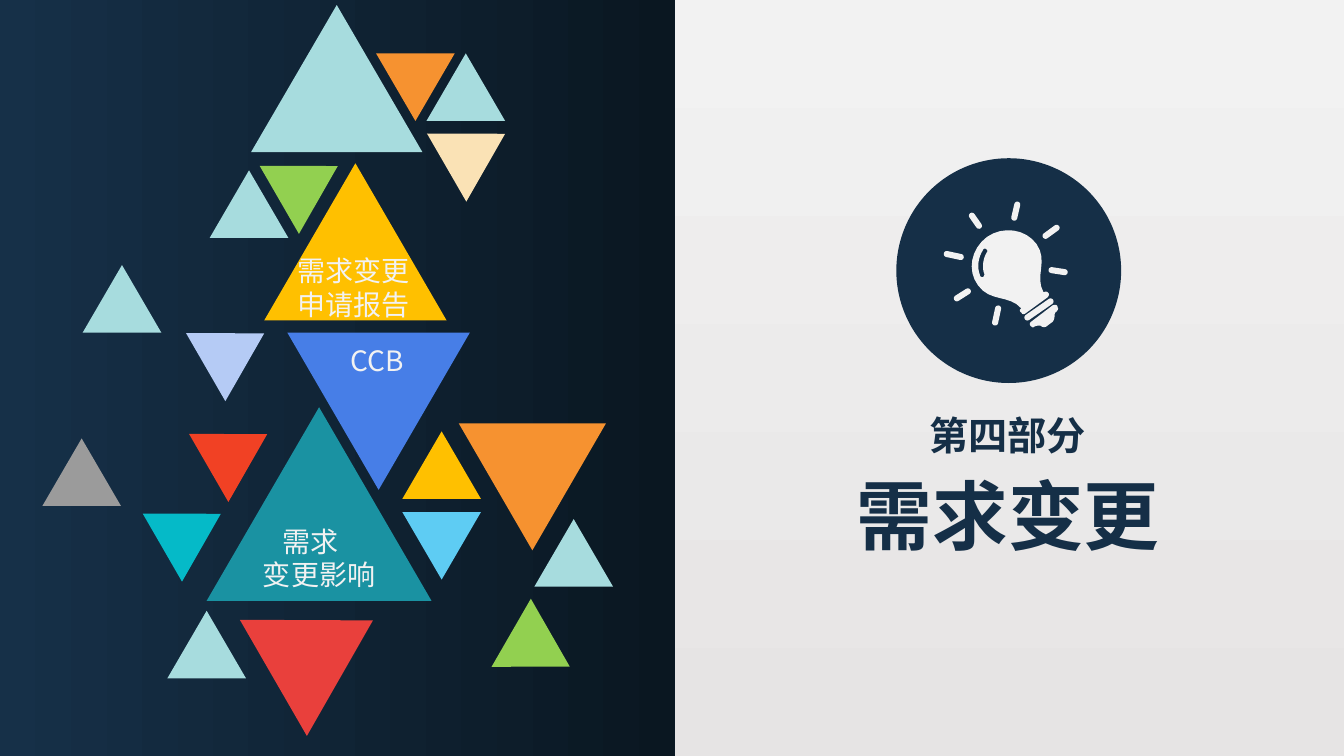
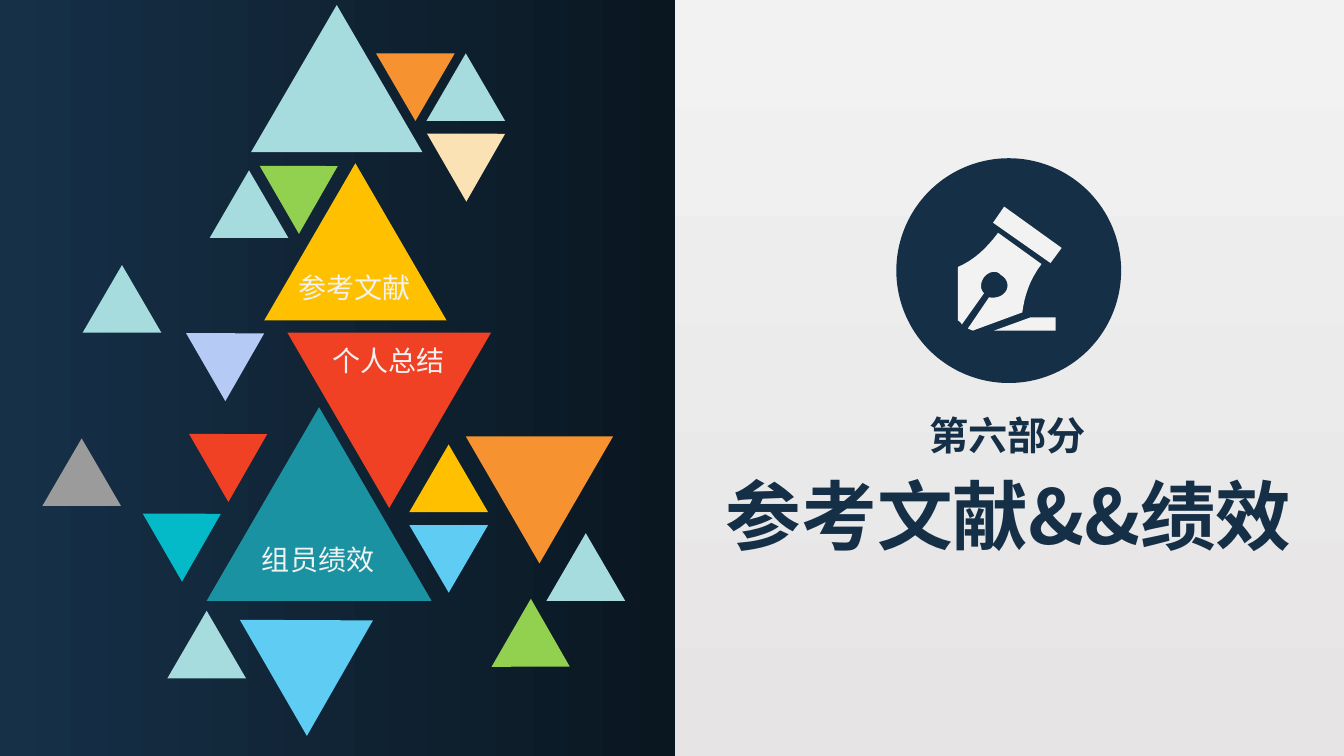
"""Build two section divider slides with triangle mosaics and a round badge."""
import math
from dataclasses import dataclass

from lxml import etree
from pptx import Presentation
from pptx import util as u
from pptx.dml import color
from pptx.enum import shapes, text
from pptx.oxml import ns

PX = 9144
FONT = "Noto Sans CJK SC"
NAVY, PALE = "152F47", "F2F2F2"
BAND_COLOURS = ("163048", "0A1721")
PAGE_COLOURS = (PALE, "E6E4E4")
MINT, GOLD, ORANGE, GREEN = "A7DCDE", "FFC000", "F69230", "92D050"
SKY, RED, BLUE, TEAL = "5ECCF3", "F14124", "477EE7", "1A92A2"
LEFT, CENTRE = text.PP_ALIGN.LEFT, text.PP_ALIGN.CENTER
Contour = list[tuple[float, float]]


@dataclass
class Triangle:
    x: int
    y: int
    fill: str
    turn: int = 0
    w: int = 78
    h: int = 67


@dataclass
class Label:
    x: int
    y: int
    w: int
    h: int
    lines: tuple[str, ...]
    size: int = 20
    fill: str = PALE
    bold: bool = False
    align: text.PP_ALIGN = LEFT
    wrap: bool = False
    first_indent: int = 0


@dataclass
class Section:
    ordinal: str
    title: Label
    icon: list[Contour]
    varying: list[Triangle]
    cluster_shift: tuple[int, int]
    labels: list[Label]


MOSAIC = [
    Triangle(82, 263, MINT),
    Triangle(423, 53, MINT),
    Triangle(194, 314, "B5CBF5", 60),
    Triangle(205, 404, TEAL, w=223, h=192),
    Triangle(166, 606, MINT),
    Triangle(42, 435, "9B9B9B"),
    Triangle(208, 169, MINT),
    Triangle(267, 148, GREEN, 60),
    Triangle(433, 116, "FAE2B5", 60),
    Triangle(151, 493, "05BAC8", 60),
    Triangle(197, 414, RED, 60),
    Triangle(262, 162, GOLD, w=181, h=156),
    Triangle(497, 611, GREEN, 120),
    Triangle(249, 5, MINT, w=170, h=146),
    Triangle(373, 53, ORANGE, 180),
]
CLUSTER = [
    Triangle(455, 420, ORANGE, 180, 146, 126),
    Triangle(399, 428, GOLD),
    Triangle(399, 508, SKY, 180),
]


def trace(*steps: tuple[int, ...]) -> Contour:
    """Turn points (2 numbers) and cubic curves (6 numbers) into an outline."""
    outline = [steps[0]]
    for step in steps[1:]:
        if len(step) == 2:
            outline.append(step)
            continue
        knots = [outline[-1], step[:2], step[2:4], step[4:]]
        for i in range(1, 9):
            t = i / 8
            weights = [math.comb(3, k) * t**k * (1 - t) ** (3 - k) for k in range(4)]
            outline.append(tuple(sum(w * knot[axis] for w, knot in zip(weights, knots))
                                 for axis in (0, 1)))
    return outline


def capsule(x1: int, y1: int, x2: int, y2: int, radius: int = 3) -> Contour:
    """Outline a bar with round ends."""
    heading = math.atan2(y2 - y1, x2 - x1)
    outline = []
    for x, y, start in ((x2, y2, heading - math.pi / 2), (x1, y1, heading + math.pi / 2)):
        for i in range(7):
            angle = start + math.pi * i / 6
            outline.append((x + radius * math.cos(angle), y + radius * math.sin(angle)))
    return outline


BULB_BARS = [
    (1009, 203, 1006, 216), (964, 214, 971, 224), (939, 252, 953, 255),
    (949, 296, 960, 289), (990, 306, 987, 320), (1043, 268, 1056, 270),
    (1048, 226, 1037, 234), (1042, 299, 1019, 315),
]
BULB = [capsule(*bar) for bar in BULB_BARS] + [
    trace((1040, 291), (1041, 292, 1040, 294, 1039, 295), (1017, 311),
          (1015, 312, 1014, 312, 1013, 310), (1011, 309, 1011, 307, 1013, 306),
          (1001, 292, 982, 300, 970, 283), (959, 268, 963, 247, 979, 235),
          (995, 224, 1017, 227, 1028, 242), (1040, 259, 1026, 274, 1035, 290),
          (1037, 289, 1039, 289, 1040, 291)),
    trace((978, 247), (977, 246, 975, 247, 975, 248), (970, 256, 969, 265, 972, 273),
          (972, 274, 973, 275, 975, 275), (976, 274, 977, 272, 976, 271),
          (974, 265, 975, 256, 979, 250), (980, 249, 979, 248, 978, 247)),
    trace((1044, 303), (1023, 319), (1021, 320, 1021, 323, 1023, 324),
          (1024, 325, 1025, 325, 1026, 324), (1028, 323, 1030, 323, 1032, 323),
          (1034, 325, 1037, 325, 1039, 323), (1043, 320),
          (1045, 319, 1046, 316, 1046, 313), (1046, 312, 1046, 310, 1048, 309),
          (1049, 308, 1050, 306, 1049, 305), (1049, 302, 1046, 302, 1044, 303)),
]
PEN = [
    trace((954, 322), (953, 320, 952, 319, 950, 318), (950, 265),
          (966, 258, 978, 247, 990, 231), (1033, 262),
          (1021, 278, 1016, 294, 1014, 310), (965, 328), (960, 326), (981, 295),
          (986, 296, 993, 295, 997, 290), (1001, 285, 1000, 277, 993, 273),
          (988, 267, 980, 270, 976, 275), (972, 281, 972, 287, 976, 291)),
    trace((986, 328), (1047, 328), (1047, 315), (1022, 315)),
    trace((1042, 261), (1053, 246), (996, 205), (985, 221)),
]

SECTIONS = [
    Section(
        "第四部分",
        Label(840, 460, 320, 101, ("需求变更",), 54, NAVY, True, CENTRE),
        BULB,
        [Triangle(285, 330, BLUE, 180, 181, 156),
         Triangle(254, 587, "E9403C", 60, 133, 114),
         Triangle(530, 515, MINT)],
        (0, 0),
        [Label(285, 247, 131, 77, ("需求变更", "申请报告")),
         Label(338, 336, 74, 44, ("CCB",)),
         Label(251, 515, 131, 77, ("需求", "变更影响"), first_indent=19)],
    ),
    Section(
        "第六部分",
        Label(697, 460, 607, 101, ("参考文献&&绩效",), 54, NAVY, True, CENTRE, True),
        PEN,
        [Triangle(285, 330, RED, 180, 202, 174),
         Triangle(254, 587, SKY, 60, 133, 114),
         Triangle(542, 529, MINT)],
        (7, 13),
        [Label(286, 263, 131, 44, ("参考文献",)),
         Label(320, 336, 131, 44, ("个人总结",), align=CENTRE),
         Label(250, 533, 131, 44, ("组员绩效",))],
    ),
]


def rgb(code: str) -> color.RGBColor:
    """Read a hex colour."""
    return color.RGBColor.from_string(code)


def paint(shape, fill: str) -> None:
    """Give a shape a plain fill without line or shadow."""
    shape.shadow.inherit = False
    shape.line.fill.background()
    shape.fill.solid()
    shape.fill.fore_color.rgb = rgb(fill)


def blend(fill, colours: tuple[str, str], angle: int) -> None:
    """Set a two-colour linear gradient."""
    fill.gradient()
    fill.gradient_angle = angle
    for stop, code in zip(fill.gradient_stops, colours):
        stop.color.rgb = rgb(code)


def add_preset(owner, kind, x: int, y: int, w: int, h: int, fill: str):
    """Add a painted preset shape."""
    shape = owner.add_shape(kind, x * PX, y * PX, w * PX, h * PX)
    paint(shape, fill)
    return shape


def add_triangle(slide, tri: Triangle, dx: int = 0, dy: int = 0) -> None:
    """Add one mosaic triangle."""
    piece = add_preset(slide.shapes, shapes.MSO_SHAPE.ISOSCELES_TRIANGLE,
                       tri.x + dx, tri.y + dy, tri.w, tri.h, tri.fill)
    piece.rotation = tri.turn


def add_label(slide, label: Label) -> None:
    """Add a text box with one paragraph per line."""
    box = slide.shapes.add_textbox(label.x * PX, label.y * PX, label.w * PX, label.h * PX)
    frame = box.text_frame
    frame.word_wrap = label.wrap
    frame.auto_size = text.MSO_AUTO_SIZE.SHAPE_TO_FIT_TEXT
    for i, line in enumerate(label.lines):
        paragraph = frame.add_paragraph() if i else frame.paragraphs[0]
        paragraph.alignment = label.align
        if label.first_indent and i == 0:
            paragraph._p.get_or_add_pPr().set("marL", str(label.first_indent * PX))
        run = paragraph.add_run()
        run.text = line
        run.font.size = u.Pt(label.size)
        run.font.bold = label.bold
        run.font.color.rgb = rgb(label.fill)
        run.font.name = FONT
        etree.SubElement(run._r.get_or_add_rPr(), ns.qn("a:ea"), typeface=FONT)


def add_badge(slide, icon: list[Contour]) -> None:
    """Add the round badge with its icon."""
    badge = slide.shapes.add_group_shape().shapes
    add_preset(badge, shapes.MSO_SHAPE.OVAL, 889, 157, 223, 223, NAVY)
    outlines = [[(x * PX, y * PX) for x, y in contour] for contour in icon]
    builder = badge.build_freeform(*outlines[0][0])
    for i, outline in enumerate(outlines):
        if i:
            builder.move_to(*outline[0])
        builder.add_line_segments(outline[1:], close=True)
    paint(builder.convert_to_shape(), PALE)


def dress_master(master, slide) -> None:
    """Put the page gradient and the dark band on the master."""
    blend(master.background.fill, PAGE_COLOURS, 270)
    band = add_preset(slide.shapes, shapes.MSO_SHAPE.RECTANGLE, 0, 0, 669, 750, NAVY)
    blend(band.fill, BAND_COLOURS, 0)
    band._element.nvSpPr.cNvPr.set("id", "20")
    master.shapes._spTree.append(band._element)


def add_section(slide, section: Section) -> None:
    """Fill one divider slide."""
    add_label(slide, section.title)
    add_label(slide, Label(911, 403, 177, 57, (section.ordinal,), 28, NAVY, True, CENTRE))
    add_badge(slide, section.icon)
    for tri in section.varying + MOSAIC:
        add_triangle(slide, tri)
    for tri in CLUSTER:
        add_triangle(slide, tri, *section.cluster_shift)
    for label in section.labels:
        add_label(slide, label)


def main() -> None:
    """Build and save the deck."""
    deck = Presentation()
    deck.slide_width, deck.slide_height = 1333 * PX, 750 * PX
    slides = [deck.slides.add_slide(deck.slide_layouts[6]) for _ in SECTIONS]
    dress_master(deck.slide_master, slides[0])
    for slide, section in zip(slides, SECTIONS):
        add_section(slide, section)
    deck.save("out.pptx")


if __name__ == "__main__":
    main()
